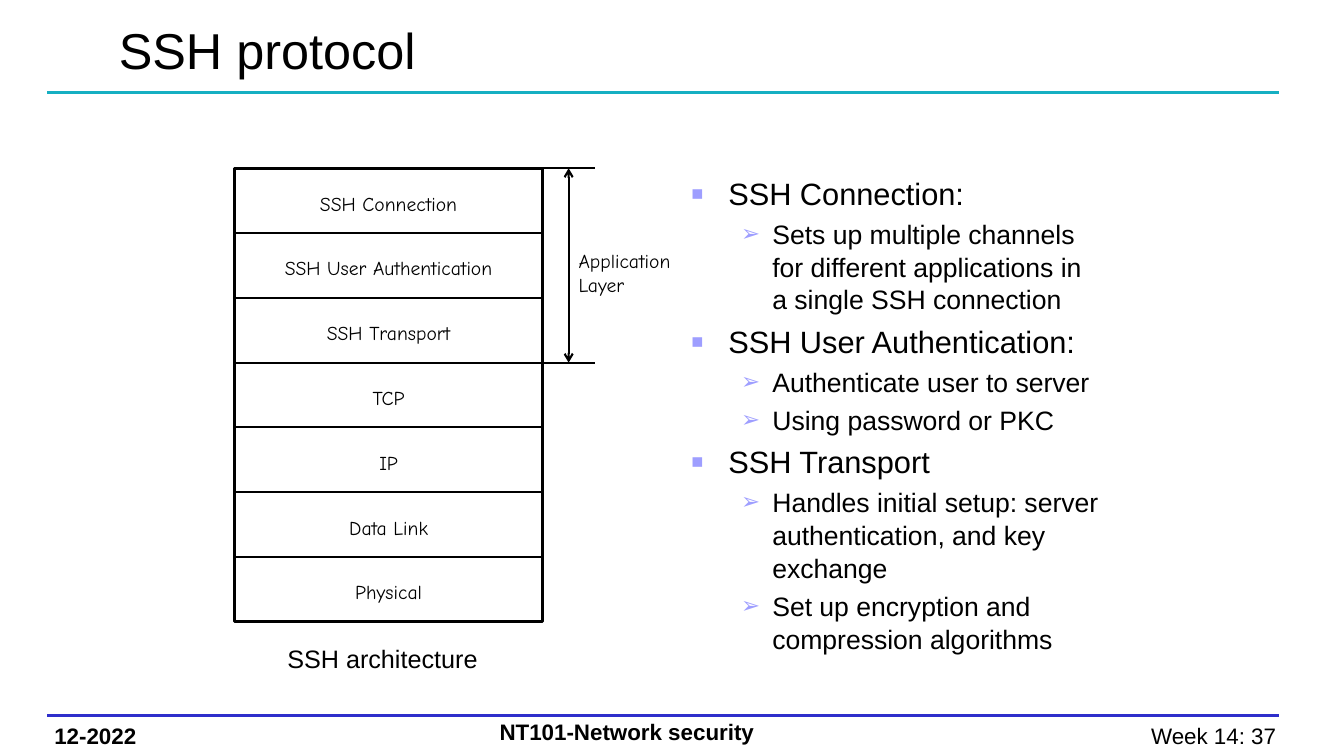
from lxml import etree
from pptx import Presentation
from pptx.dml.color import RGBColor
from pptx.enum.shapes import MSO_CONNECTOR, MSO_SHAPE
from pptx.enum.text import MSO_ANCHOR, MSO_AUTO_SIZE, PP_ALIGN
from pptx.oxml.ns import qn
from pptx.util import Cm, Pt

STRAIGHT = MSO_CONNECTOR.STRAIGHT
RECTANGLE = MSO_SHAPE.RECTANGLE
MIDDLE = MSO_ANCHOR.MIDDLE
NO_AUTOFIT = MSO_AUTO_SIZE.NONE
LEFT, CENTER, RIGHT = PP_ALIGN.LEFT, PP_ALIGN.CENTER, PP_ALIGN.RIGHT

COLORS = {
    "ink": "000000",
    "paper": "FFFFFF",
    "title_rule": "16AFC2",
    "footer_rule": "2E2ECB",
    "bullet": "9E9EFF",
}
MAIN_FONT = "Arial"
DIAGRAM_FONT = "Comic Neue"

# Per list level: size, left margin (cm), hanging (cm), bullet, bullet percent
LIST_LEVELS = [(22, 0.95, 0.95, "▪", 125), (19, 2.06, 0.79, "➢", 85)]

LAYERS = ["SSH Connection", "SSH User Authentication", "SSH Transport",
          "TCP", "IP", "Data Link", "Physical"]
APPLICATION_LAYERS = 3

POINTS = [
    (0, "SSH Connection:"),
    (1, "Sets up multiple channels for different applications in a single SSH connection"),
    (0, "SSH User Authentication:"),
    (1, "Authenticate user to server"),
    (1, "Using password or PKC"),
    (0, "SSH Transport"),
    (1, "Handles initial setup: server authentication, and key exchange"),
    (1, "Set up encryption and compression algorithms"),
]


def color(name):
    return RGBColor.from_string(COLORS[name])


class SlideBuilder:
    """Holds the style, the current slide and the shapes being drawn into."""

    def __init__(self, slide):
        self.slide = slide
        self.shapes = slide.shapes

    def start_group(self):
        self.shapes = self.slide.shapes.add_group_shape().shapes

    def end_group(self):
        self.shapes = self.slide.shapes

    def place(self, shape, left, top, width, height):
        shape.left, shape.top = Cm(left), Cm(top)
        shape.width, shape.height = Cm(width), Cm(height)

    def format_runs(self, paragraph, size, font=MAIN_FONT, bold=False):
        for run in paragraph.runs:
            run.font.name = font
            run.font.size = Pt(size)
            run.font.bold = bold
            run.font.color.rgb = color("ink")

    def title(self, text, left, top, width, height):
        shape = self.slide.shapes.title
        self.place(shape, left, top, width, height)
        text_frame = shape.text_frame
        text_frame.text = text
        text_frame.auto_size = NO_AUTOFIT
        text_frame.vertical_anchor = MIDDLE
        text_frame.paragraphs[0].alignment = LEFT
        self.format_runs(text_frame.paragraphs[0], 36)

    def bullet_list(self, points, left, top, width, height):
        shape = self.slide.placeholders[1]
        self.place(shape, left, top, width, height)
        text_frame = shape.text_frame
        text_frame.auto_size = NO_AUTOFIT
        text_frame.text = "\n".join(text for _, text in points)
        for index, (level, _) in enumerate(points):
            paragraph = text_frame.paragraphs[index]
            size = LIST_LEVELS[level][0]
            paragraph.level = level
            self.bullet(paragraph, level)
            paragraph.line_spacing = 1.03
            paragraph.space_before = Pt(0.2 * size if index else 0)
            self.format_runs(paragraph, size)

    def bullet(self, paragraph, level):
        _, margin, hanging, character, percent = LIST_LEVELS[level]
        properties = paragraph._p.get_or_add_pPr()
        properties.set("marL", str(Cm(margin)))
        properties.set("indent", str(-Cm(hanging)))
        bullet_color = etree.SubElement(properties, qn("a:buClr"))
        etree.SubElement(bullet_color, qn("a:srgbClr"), val=COLORS["bullet"])
        etree.SubElement(properties, qn("a:buSzPct"), val=str(percent * 1000))
        etree.SubElement(properties, qn("a:buFont"), typeface=MAIN_FONT)
        etree.SubElement(properties, qn("a:buChar"), char=character)

    def text(self, text, left, top, width, height, size, font=MAIN_FONT,
             bold=False, alignment=LEFT, wrap=True):
        shape = self.shapes.add_textbox(Cm(left), Cm(top), Cm(width), Cm(height))
        text_frame = shape.text_frame
        text_frame.word_wrap = wrap
        text_frame.text = text
        text_frame.paragraphs[0].alignment = alignment
        self.format_runs(text_frame.paragraphs[0], size, font, bold)

    def box(self, left, top, width, height):
        shape = self.shapes.add_shape(RECTANGLE, Cm(left), Cm(top), Cm(width), Cm(height))
        shape.shadow.inherit = False
        shape.fill.solid()
        shape.fill.fore_color.rgb = color("paper")
        shape.line.color.rgb = color("ink")
        shape.line.width = Pt(2)

    def line(self, x1, y1, x2, y2, color_name="ink", width=1.5, arrows=False):
        connector = self.shapes.add_connector(STRAIGHT, Cm(x1), Cm(y1), Cm(x2), Cm(y2))
        connector.line.color.rgb = color(color_name)
        connector.line.width = Pt(width)
        properties = connector._element.spPr
        etree.SubElement(properties, qn("a:effectLst"))
        if arrows:
            outline = properties.find(qn("a:ln"))
            for end in ("a:headEnd", "a:tailEnd"):
                etree.SubElement(outline, qn(end), type="arrow")


def main():
    presentation = Presentation()
    presentation.slide_width, presentation.slide_height = Cm(33.87), Cm(19.05)
    slide = presentation.slides.add_slide(presentation.slide_layouts[1])
    builder = SlideBuilder(slide)

    # Header and footer
    builder.line(1.19, 2.34, 32.23, 2.34, "title_rule", 2.25)
    builder.line(1.19, 18.03, 32.23, 18.03, "footer_rule", 2.25)
    builder.text("12-2022", 1.12, 18.06, 4.52, 0.94, 16, bold=True)
    builder.text("NT101-Network security", 12.34, 17.96, 17.07, 0.94, 16, bold=True)
    builder.text("Week 14: 37", 24.94, 18.06, 7.47, 0.94, 16, alignment=RIGHT)

    # Title and list
    builder.title("SSH protocol", 2.74, 0.13, 28.52, 2.21)
    builder.bullet_list(POINTS, 17.15, 4.24, 10.8, 12.9)

    # Protocol stack
    left, top, width, height = 5.92, 4.24, 7.75, 11.43
    row_height = height / len(LAYERS)
    bracket_right = 14.99
    builder.start_group()
    builder.box(left, top, width, height)
    for row, layer in enumerate(LAYERS):
        y = top + row * row_height
        right = bracket_right if row in (0, APPLICATION_LAYERS) else left + width
        builder.line(left, y, right, y)
        builder.text(layer, left, y + 0.46, width, 0.86, 14, DIAGRAM_FONT, alignment=CENTER)

    # Span of the application layer
    arrow_x = 14.33
    builder.line(arrow_x, top, arrow_x, top + APPLICATION_LAYERS * row_height, arrows=True)
    builder.text("Application Layer", arrow_x, 6.15, 3.45, 1.45, 14, DIAGRAM_FONT)
    builder.end_group()

    # Caption
    builder.text("SSH architecture", 6.99, 16.08, 5.31, 1.02, 18, wrap=False)

    presentation.save("out.pptx")


if __name__ == "__main__":
    main()
